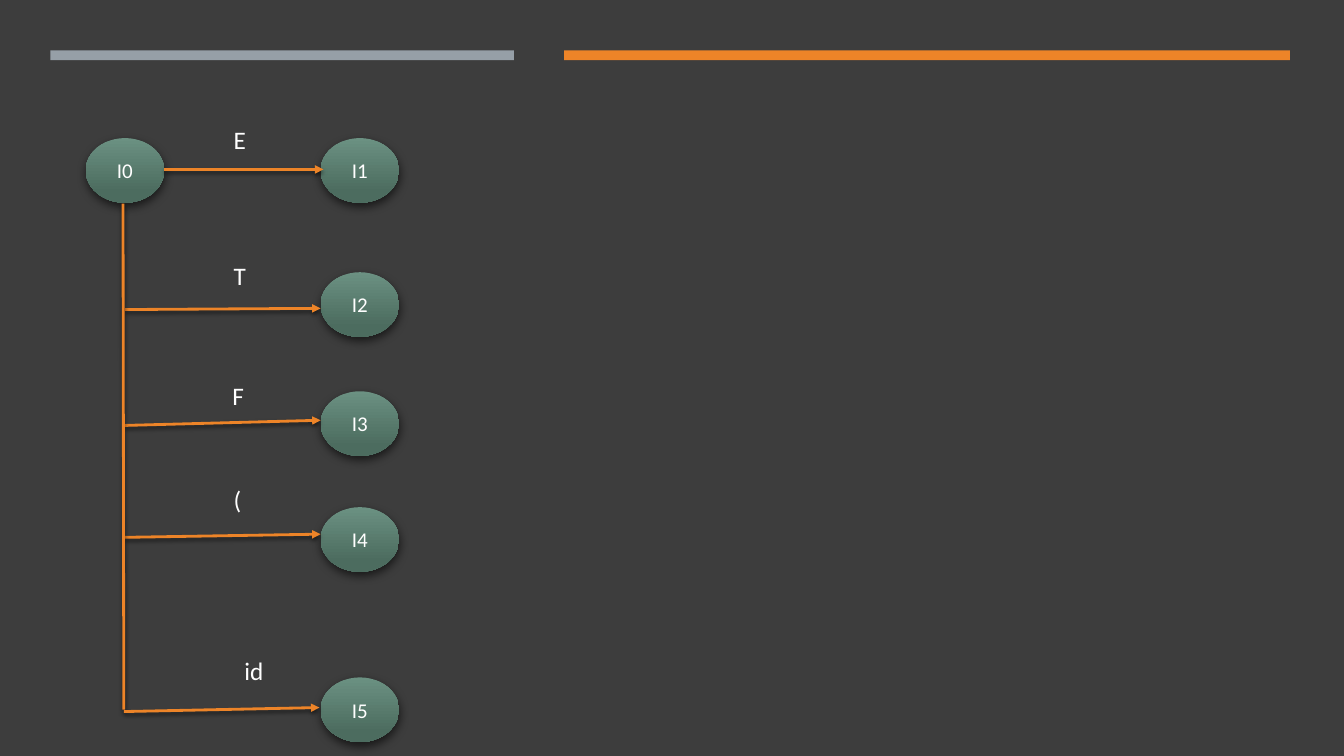
from dataclasses import dataclass

from lxml.etree import SubElement
from pptx import Presentation
from pptx.dml.color import RGBColor
from pptx.enum.shapes import MSO_CONNECTOR, MSO_SHAPE
from pptx.enum.text import MSO_ANCHOR, MSO_AUTO_SIZE, PP_ALIGN
from pptx.oxml.ns import qn
from pptx.util import Cm, Pt


@dataclass(frozen=True)
class Theme:
    background: str = "3D3D3D"
    gray: str = "969FA7"
    orange: str = "ED8428"
    node_top: str = "6B9182"
    node_bottom: str = "4C6C5F"
    text: str = "FFFFFF"
    shadow: str = "000000"
    font: str = "Calibri"
    node_size: int = 15
    label_size: int = 18
    line_width: int = 2


theme = Theme()


def write_text(shape, text, size, align=PP_ALIGN.LEFT, anchor=MSO_ANCHOR.TOP):
    frame = shape.text_frame
    frame.word_wrap = True
    frame.vertical_anchor = anchor
    paragraph = frame.paragraphs[0]
    paragraph.text = text
    paragraph.alignment = align
    font = paragraph.runs[0].font
    font.name = theme.font
    font.size = Pt(size)
    font.color.rgb = RGBColor.from_string(theme.text)


def add_shadow(properties, blur, distance, angle, opacity):
    effects = SubElement(properties, qn("a:effectLst"))
    shadow = SubElement(
        effects, qn("a:outerShdw"), blurRad=str(Pt(blur)), dist=str(Pt(distance)),
        dir=str(angle * 60000), algn="ctr", rotWithShape="0",
    )
    color = SubElement(shadow, qn("a:srgbClr"), val=theme.shadow)
    SubElement(color, qn("a:alpha"), val=str(opacity * 1000))


presentation = Presentation()
presentation.slide_width = Cm(33.87)
presentation.slide_height = Cm(19.05)
slide = presentation.slides.add_slide(presentation.slide_layouts[6])
slide.background.fill.solid()
slide.background.fill.fore_color.rgb = RGBColor.from_string(theme.background)

for left, width, color in [(1.27, 11.68, theme.gray), (14.22, 18.29, theme.orange)]:
    bar = slide.shapes.add_shape(MSO_SHAPE.RECTANGLE, Cm(left), Cm(1.27), Cm(width), Cm(0.25))
    bar.shadow.inherit = False
    bar.fill.solid()
    bar.fill.fore_color.rgb = RGBColor.from_string(color)
    bar.line.fill.background()

nodes = [
    ("I0", 2.16, 3.48),
    ("I1", 8.08, 3.48),
    ("I2", 8.08, 6.86),
    ("I3", 8.08, 9.86),
    ("I4", 8.08, 12.78),
    ("I5", 8.08, 17.07),
]
for name, left, top in nodes:
    node = slide.shapes.add_shape(MSO_SHAPE.OVAL, Cm(left), Cm(top), Cm(1.98), Cm(1.63))
    node.fill.gradient()
    node.fill.gradient_angle = 270
    stops = [(0, theme.node_top), (0.84, theme.node_bottom)]
    for stop, (position, color) in zip(node.fill.gradient_stops, stops):
        stop.position = position
        stop.color.rgb = RGBColor.from_string(color)
    node.line.fill.background()
    add_shadow(node.element.spPr, blur=7, distance=3, angle=84, opacity=60)
    write_text(node, name, theme.node_size, PP_ALIGN.CENTER, MSO_ANCHOR.MIDDLE)

edges = [
    (4.14, 4.27, 8.15, 4.27, True),
    (3.15, 7.8, 8.08, 7.77, True),
    (3.15, 10.72, 8.08, 10.59, True),
    (3.15, 13.54, 8.08, 13.46, True),
    (3.1, 5.13, 3.12, 17.88, False),
    (3.12, 17.93, 8.05, 17.83, True),
]
for *ends, has_arrow in edges:
    edge = slide.shapes.add_connector(MSO_CONNECTOR.STRAIGHT, *map(Cm, ends))
    edge.line.width = Pt(theme.line_width)
    edge.line.color.rgb = RGBColor.from_string(theme.orange)
    properties = edge.element.spPr
    if has_arrow:
        SubElement(properties.find(qn("a:ln")), qn("a:tailEnd"), type="triangle")
    add_shadow(properties, blur=3, distance=2, angle=90, opacity=55)

labels = [
    ("E", 5.64, 3, 1.04, PP_ALIGN.LEFT),
    ("T", 5.64, 6.43, 1.04, PP_ALIGN.LEFT),
    ("F", 5.61, 9.45, 1.04, PP_ALIGN.LEFT),
    ("(", 5.64, 12.09, 1.04, PP_ALIGN.LEFT),
    ("id", 5.64, 16.38, 1.52, PP_ALIGN.CENTER),
]
for symbol, left, top, width, align in labels:
    label = slide.shapes.add_textbox(Cm(left), Cm(top), Cm(width), Cm(1.02))
    write_text(label, symbol, theme.label_size, align)
    label.text_frame.auto_size = MSO_AUTO_SIZE.SHAPE_TO_FIT_TEXT

presentation.save("out.pptx")
